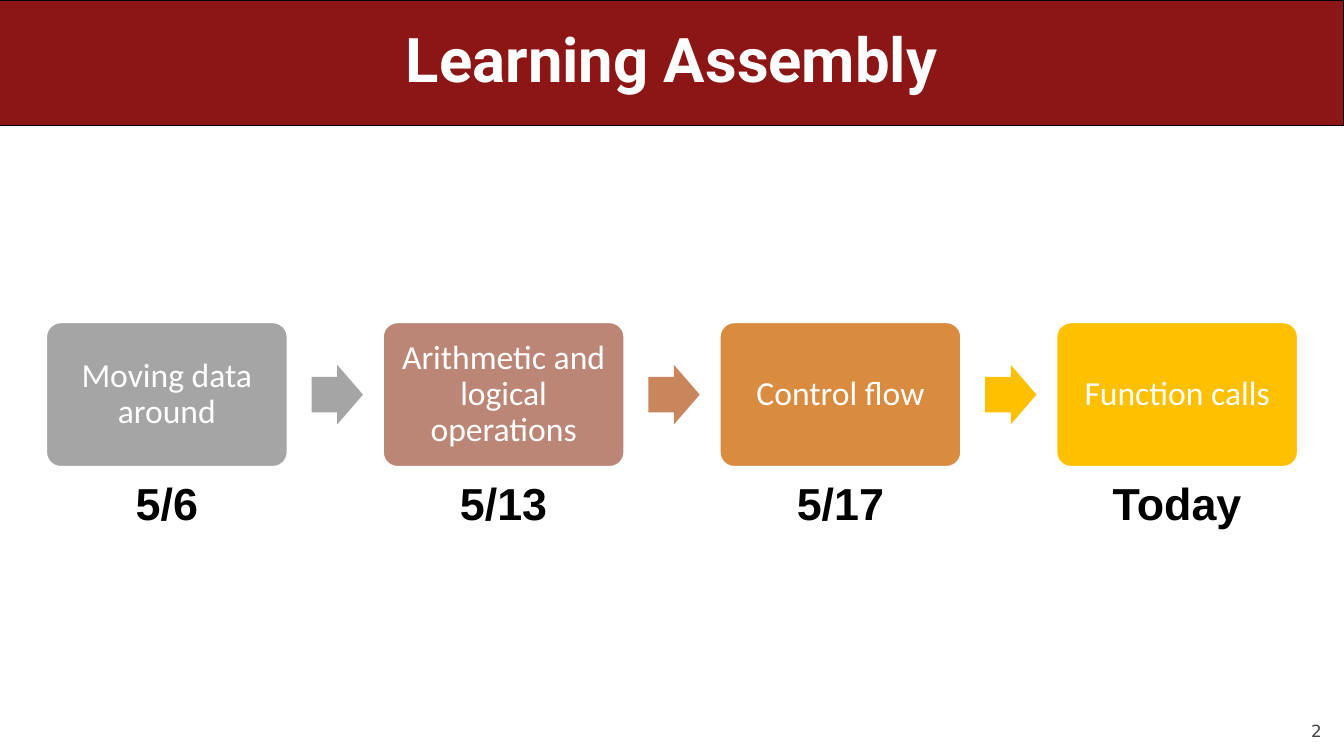
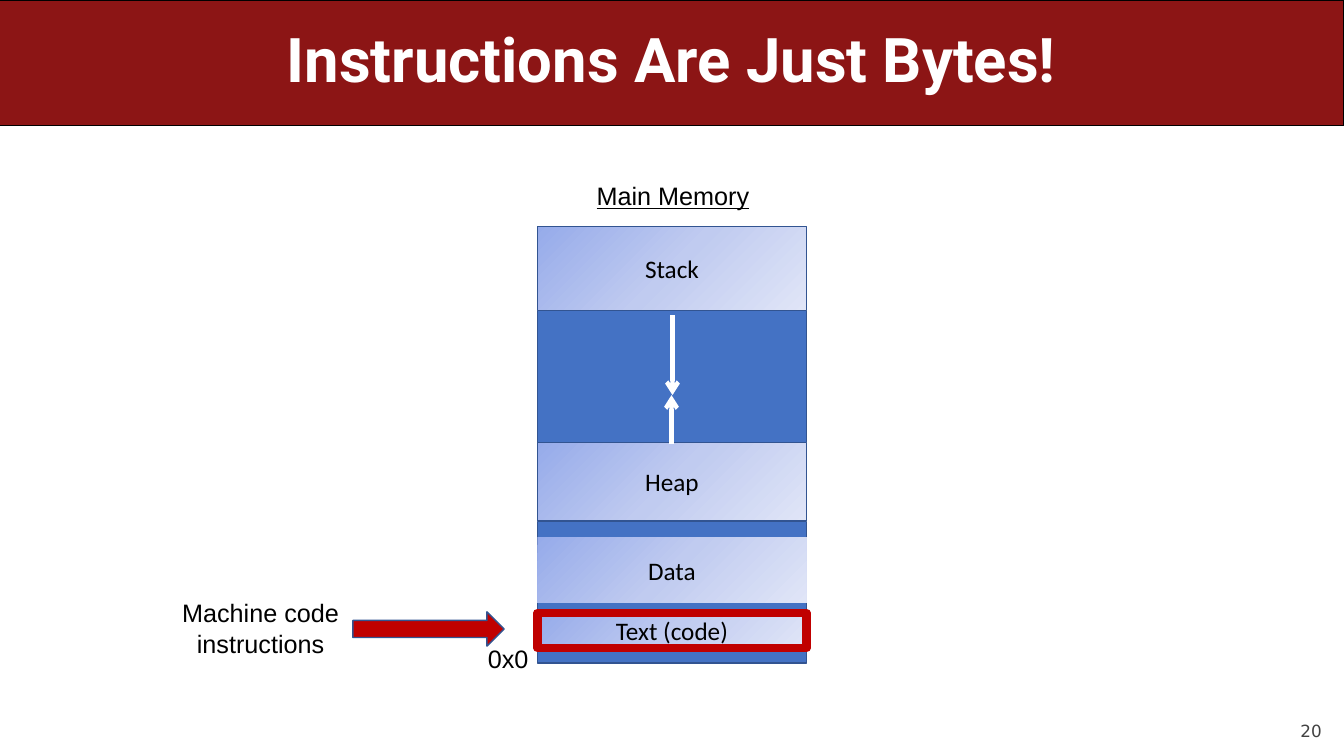
from copy import deepcopy

from pptx import Presentation
from pptx.dml.color import RGBColor
from pptx.enum.shapes import MSO_CONNECTOR, MSO_SHAPE
from pptx.enum.text import MSO_ANCHOR, MSO_AUTO_SIZE, PP_ALIGN
from pptx.oxml.ns import qn
from pptx.oxml.xmlchemy import OxmlElement
from pptx.util import Emu, Pt

WIDE, HIGH = 1333, 750
RED, WHITE, BLACK = "8C1515", "FFFFFF", "000000"
BLUE, EDGE, ALERT = "4472C4", "325491", "C00000"
SHADES = ("96ABEA", "C0CBF0", "E0E5F7")


def px(*sizes):
    """Turn px, 100 to the inch, into a list of EMU."""
    return [Emu(size * 9144) for size in sizes]


def rgb(code):
    return RGBColor.from_string(code)


class Deck:
    """Holds the shared style and the slide being filled."""

    def __init__(self):
        self.show = Presentation()
        self.show.slide_width, self.show.slide_height = px(WIDE, HIGH)
        self.slide = None

    def start(self, title, number):
        """Open a slide with its title band and page number."""
        self.slide = self.show.slides.add_slide(self.show.slide_layouts[5])
        band = self.shape(MSO_SHAPE.RECTANGLE, (0, 0, WIDE, 125), RED, BLACK, 0.75)
        self.slide.shapes._spTree.insert(2, band._element)
        head = self.slide.shapes.title
        head.left, head.top, head.width, head.height = px(50, 0, 1233, 125)
        self.fit(head, title, 44, "Roboto", WHITE, bold=True, pitch=0.9)
        page = self.label(str(number), (1200, 695, 111, 40), 12, "DejaVu Sans",
                          "424242", align=PP_ALIGN.RIGHT, anchor=MSO_ANCHOR.BOTTOM)
        self.inset(page, 0)

    def fit(self, shape, words, size, font="Arial", color=BLACK, bold=False,
            under=False, align=PP_ALIGN.CENTER, anchor=MSO_ANCHOR.MIDDLE,
            pitch=1.0, wrap=True):
        """Set the words of a shape and their format."""
        frame = shape.text_frame
        frame.text = words
        frame.word_wrap = wrap
        frame.auto_size = MSO_AUTO_SIZE.NONE
        frame.vertical_anchor = anchor
        line = frame.paragraphs[0]
        line.alignment, line.line_spacing = align, pitch
        style = line.runs[0].font
        style.name, style.size, style.bold = font, Pt(size), bold
        style.underline = under
        style.color.rgb = rgb(color)

    def inset(self, shape, gap):
        frame = shape.text_frame
        frame.margin_left = frame.margin_right = px(gap)[0]
        frame.margin_top = frame.margin_bottom = px(gap)[0]

    def label(self, words, box, size=18, *style, anchor=MSO_ANCHOR.TOP, **more):
        text = self.slide.shapes.add_textbox(*px(*box))
        self.fit(text, words, size, *style, anchor=anchor, **more)
        return text

    def shape(self, kind, box, fill, line=None, width=1, adjust=()):
        item = self.slide.shapes.add_shape(kind, *px(*box))
        item.shadow.inherit = False
        for spot, value in enumerate(adjust):
            item.adjustments[spot] = value
        if isinstance(fill, str):
            item.fill.solid()
            item.fill.fore_color.rgb = rgb(fill)
        else:
            self.blend(item, fill)
        if line:
            item.line.color.rgb = rgb(line)
            item.line.width = Pt(width)
        else:
            item.line.fill.background()
        return item

    def blend(self, item, shades):
        """Fill with three colours from top left to bottom right."""
        item.fill.gradient()
        item.fill.gradient_angle = 315
        stops = item._element.spPr.find(".//" + qn("a:gsLst"))
        stops.insert(1, deepcopy(stops[0]))
        for spot, (stop, shade) in enumerate(zip(item.fill.gradient_stops, shades)):
            stop.position = spot / 2
            stop.color.rgb = rgb(shade)

    def card(self, words, box, fill):
        item = self.shape(MSO_SHAPE.ROUNDED_RECTANGLE, box, fill, WHITE, 1, (0.1,))
        self.fit(item, words, 24, "Calibri", WHITE, pitch=0.9)
        self.inset(item, 14)

    def block(self, words, top, height, line=EDGE, width=1):
        """Add a named region of the memory column."""
        item = self.shape(MSO_SHAPE.RECTANGLE, (533, top, 267, height),
                          SHADES, line, width)
        self.fit(item, words, 18, "Calibri")

    def arrow(self, x, start, end):
        """Add a white upright arrow."""
        line = self.slide.shapes.add_connector(
            MSO_CONNECTOR.STRAIGHT, *px(x, start, x, end))
        line.line.color.rgb = rgb(WHITE)
        line.line.width = Pt(3)
        tip = OxmlElement("a:tailEnd")
        tip.set("type", "arrow")
        look = line._element.spPr
        look.find(qn("a:ln")).append(tip)
        look.append(OxmlElement("a:effectLst"))


def steps(deck):
    deck.start("Learning Assembly", 2)
    plan = (
        ("Moving data around", "5/6", "A5A5A5", "A5A5A5"),
        ("Arithmetic and logical operations", "5/13", "BB8676", "C9855C"),
        ("Control flow", "5/17", "D98B3F", "FFC000"),
        ("Function calls", "Today", "FFC000", None),
    )
    for spot, (topic, date, fill, next_fill) in enumerate(plan):
        left = 46 + 334 * spot
        deck.card(topic, (left, 320, 239, 143), fill)
        deck.label(date, (left, 467, 239, 64), 32, bold=True)
        if next_fill:
            deck.shape(MSO_SHAPE.RIGHT_ARROW, (left + 263, 362, 51, 59),
                       next_fill, adjust=(0.6, 0.5))


def memory(deck):
    deck.start("Instructions Are Just Bytes!", 20)
    deck.label("0x0", (459, 633, 75, 50), align=PP_ALIGN.RIGHT, wrap=False)
    deck.shape(MSO_SHAPE.RECTANGLE, (533, 225, 267, 433), BLUE, EDGE)
    deck.block("Stack", 225, 83)
    deck.block("Heap", 439, 78)
    deck.block("Data", 533, 65, None)
    deck.block("Text (code)", 608, 35, ALERT, 6)
    deck.arrow(667, 313, 392)
    deck.arrow(666, 440, 392)
    deck.shape(MSO_SHAPE.RIGHT_ARROW, (350, 607, 150, 34), ALERT, EDGE)
    deck.label("Machine code instructions", (167, 588, 183, 71))
    deck.label("Main Memory", (580, 174, 173, 40), under=True,
               align=PP_ALIGN.RIGHT, wrap=False)


def main():
    deck = Deck()
    steps(deck)
    memory(deck)
    deck.show.save("out.pptx")


if __name__ == "__main__":
    main()
